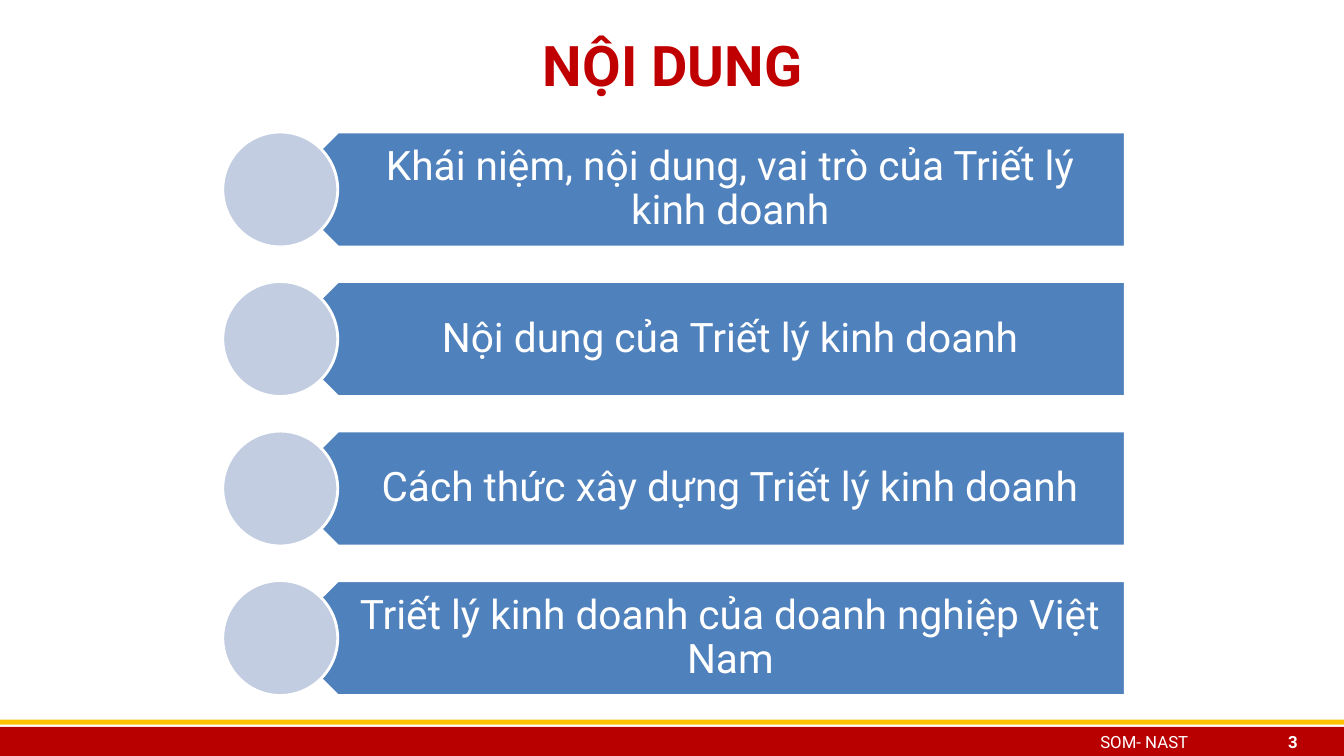
from pptx import Presentation
from pptx import util as u
from pptx.dml import color
from pptx.enum import shapes, text

HUES = {
    "red": "B80000",
    "gold": "FFC000",
    "title": "C00000",
    "blue": "4F81BD",
    "pale": "C2CDE1",
    "white": "FFFFFF",
}
FONT = "Roboto"
TOPICS = [
    "Khái niệm, nội dung, vai trò của Triết lý kinh doanh",
    "Nội dung của Triết lý kinh doanh",
    "Cách thức xây dựng Triết lý kinh doanh",
    "Triết lý kinh doanh của doanh nghiệp Việt Nam",
]


def hue(name):
    return color.RGBColor.from_string(HUES[name])


def add_form(slide, kind, box, fill, line=None):
    form = slide.shapes.add_shape(kind, *map(u.Inches, box))
    form.shadow.inherit = False
    form.fill.solid()
    form.fill.fore_color.rgb = hue(fill)
    if line:
        form.line.color.rgb = hue(line)
        form.line.width = u.Pt(2)
    else:
        form.line.fill.background()
    return form


def add_label(slide, box, words, size, tint="white", bold=False,
              align=text.PP_ALIGN.CENTER, pads=(0.1, 0, 0.1, 0), space=1):
    frame = slide.shapes.add_textbox(*map(u.Inches, box)).text_frame
    frame.word_wrap = True
    frame.vertical_anchor = text.MSO_ANCHOR.MIDDLE
    (frame.margin_left, frame.margin_top,
     frame.margin_right, frame.margin_bottom) = map(u.Inches, pads)
    para = frame.paragraphs[0]
    para.alignment = align
    para.line_spacing = space
    run = para.add_run()
    run.text = words
    run.font.name = FONT
    run.font.size = u.Pt(size)
    run.font.bold = bold
    run.font.color.rgb = hue(tint)


def add_topic(slide, box, words):
    left, top, width, height = box
    half = height / 2
    banner = add_form(slide, shapes.MSO_SHAPE.PENTAGON,
                      (left + half, top, width - half, height), "blue", "white")
    banner.rotation = 180
    inset = 0.85
    add_label(slide, (left + inset, top, width - inset, height), words, 29,
              pads=(0.5, 0.12, 0.23, 0.12), space=0.9)
    add_form(slide, shapes.MSO_SHAPE.OVAL, (left, top, height, height),
             "pale", "white")


def add_list(slide, box, topics):
    left, top, width, height = box
    size = 1.14
    step = (height - size) / (len(topics) - 1)
    for i, words in enumerate(topics):
        add_topic(slide, (left, top + i * step, width, size), words)


def add_footer(slide, box, name, number):
    left, top, width, height = box
    add_form(slide, shapes.MSO_SHAPE.RECTANGLE, box, "red")
    add_form(slide, shapes.MSO_SHAPE.RECTANGLE,
             (left, top - 0.07, width, 0.05), "gold")
    add_label(slide, (left + 12.1, top, 0.87, height), number, 12,
              bold=True, align=text.PP_ALIGN.RIGHT)
    add_label(slide, (left + 10.6, top, 1.5, height), name, 12)


def main():
    deck = Presentation()
    deck.slide_width = u.Inches(13.33)
    deck.slide_height = u.Inches(7.5)
    slide = deck.slides.add_slide(deck.slide_layouts[6])
    add_footer(slide, (0, 7.21, 13.33, 0.29), "SOM- NAST", "3")
    add_label(slide, (0.37, 0.05, 12.6, 1.18), "NỘI DUNG", 40, "title", True)
    add_list(slide, (2.21, 1.31, 8.95, 5.59), TOPICS)
    deck.save("out.pptx")


if __name__ == "__main__":
    main()
